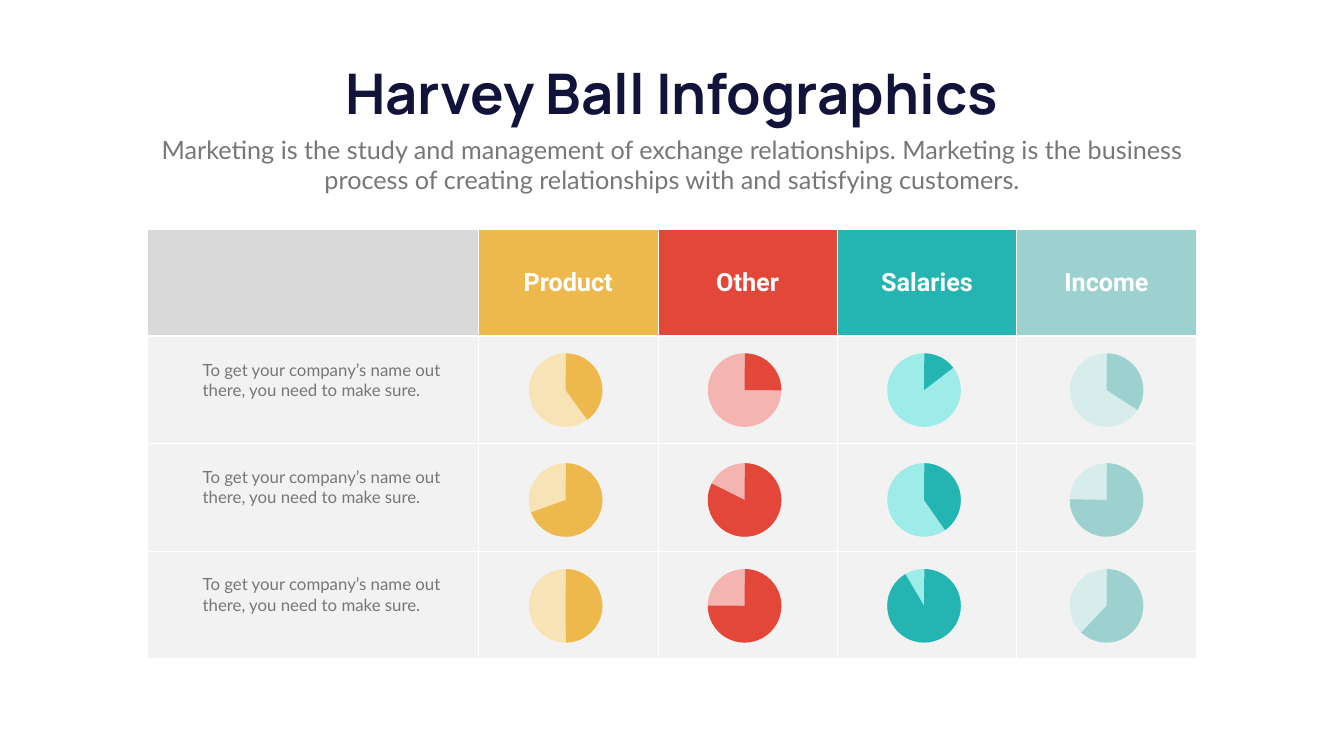
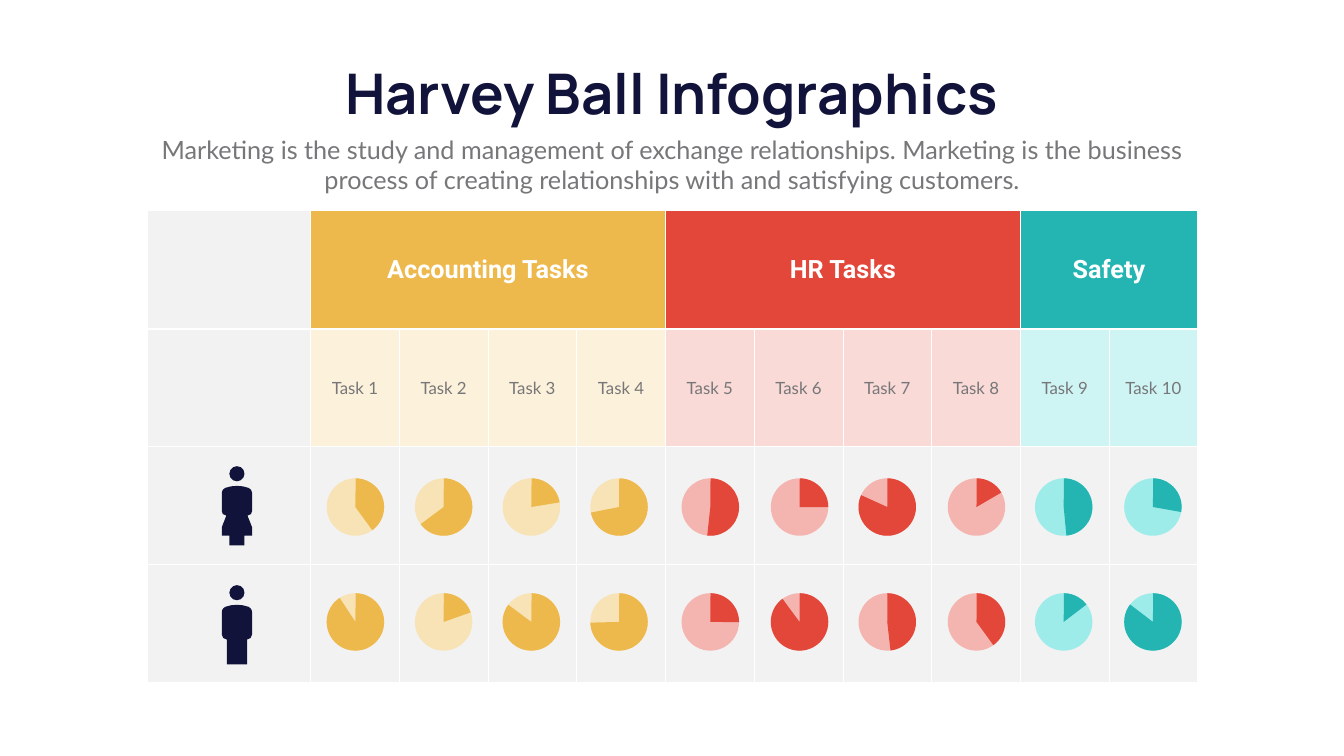
from lxml.etree import SubElement
from pptx import Presentation
from pptx.dml.color import RGBColor
from pptx.enum.shapes import MSO_SHAPE
from pptx.enum.text import MSO_ANCHOR, MSO_AUTO_SIZE, PP_ALIGN
from pptx.oxml.ns import qn
from pptx.util import Inches, Pt

COLOURS = {
    "navy": "11133A", "text": "777678", "white": "FFFFFF",
    "cell": "F2F2F2", "corner": "D9D9D9",
    "gold": "EEB94C", "gold soft": "F8E3B7", "gold pale": "FCF1DB",
    "red": "E34739", "red soft": "F4B5B0", "red pale": "F9DAD7",
    "teal": "24B5B2", "teal soft": "9DECEA", "teal pale": "CEF5F4",
    "mint": "9CD1D0", "mint soft": "D7EDEC",
}
TITLE = "Harvey Ball Infographics"
SUBTITLE = (
    "Marketing is the study and management of exchange relationships. "
    "Marketing is the business process of creating relationships with "
    "and satisfying customers."
)
ROW_TEXT = "To get your company’s name out there, you need to make sure."
LEFT, WIDTH = 2.92, 20.82
PIE_START = 270.45

# Right half of each figure: distance from the centre line, depth below the shoulders
SHOULDER = [(0, 0), (0.12, 0.01), (0.23, 0.04), (0.27, 0.07), (0.29, 0.1), (0.3, 0.14)]
WOMAN = SHOULDER + [
    (0.3, 0.5), (0.28, 0.56), (0.21, 0.59), (0.3, 0.82),
    (0.3, 0.99), (0.15, 0.99), (0.15, 1.18),
]
MAN = SHOULDER + [(0.3, 0.59), (0.27, 0.66), (0.2, 0.69), (0.2, 1.18)]


def rgb(name):
    return RGBColor.from_string(COLOURS[name])


class Painter:
    """Holds the shared style and the slide being filled."""

    def __init__(self, deck):
        self.deck = deck
        self.page = None

    def start_page(self):
        self.page = self.deck.slides.add_slide(self.deck.slide_layouts[5])
        title = self.page.shapes.title
        title.left, title.top = Inches(6.14), Inches(1.12)
        title.width, title.height = Inches(14.37), Inches(1.45)
        self.heading(title, TITLE, 80, "Manrope", "navy", bold=True, wrap=False)
        subtitle = self.page.shapes.add_textbox(
            Inches(LEFT), Inches(2.61), Inches(WIDTH), Inches(1.31))
        self.heading(subtitle, SUBTITLE, 36, "Lato", "text")

    def heading(self, box, text, size, font, colour, bold=False, wrap=True):
        frame = box.text_frame
        frame.word_wrap = wrap
        frame.auto_size = MSO_AUTO_SIZE.SHAPE_TO_FIT_TEXT
        frame.vertical_anchor = MSO_ANCHOR.TOP
        self.add_text(frame, text, size, font, colour, bold)

    def add_text(self, frame, text, size, font, colour, bold=False):
        para = frame.paragraphs[0]
        para.alignment = PP_ALIGN.CENTER
        span = para.add_run()
        span.text = text
        span.font.size = Pt(size)
        span.font.name = font
        span.font.bold = bold
        span.font.color.rgb = rgb(colour)
        return para

    def table(self, top, column_widths, row_height, row_count):
        """Adds a plain grid with white rules and a heavier rule below its header."""
        frame = self.page.shapes.add_table(
            row_count, len(column_widths), Inches(LEFT), Inches(top),
            Inches(WIDTH), Inches(row_height * row_count))
        grid = frame.table
        grid.first_row = grid.horz_banding = False
        for column, width in zip(grid.columns, column_widths):
            column.width = Inches(width)
        for number, row in enumerate(grid.rows):
            row.height = Inches(row_height)
            for cell in row.cells:
                self.borders(cell, bottom=1 if number else 3)
                self.fill_cell(cell, "cell")
        return grid

    def borders(self, cell, bottom):
        properties = cell._tc.get_or_add_tcPr()
        for side, weight in (("L", 1), ("R", 1), ("T", 1), ("B", bottom)):
            line = SubElement(properties, qn(f"a:ln{side}"), w=str(Pt(weight)))
            fill = SubElement(line, qn("a:solidFill"))
            SubElement(fill, qn("a:srgbClr"), val=COLOURS["white"])

    def fill_cell(self, cell, colour):
        cell.fill.solid()
        cell.fill.fore_color.rgb = rgb(colour)
        cell.vertical_anchor = MSO_ANCHOR.MIDDLE

    def header_cell(self, cell, text, colour):
        self.fill_cell(cell, colour)
        self.add_text(cell.text_frame, text, 36, "Roboto", "white", bold=True)

    def body_cell(self, cell, text, colour="cell"):
        self.fill_cell(cell, colour)
        return self.add_text(cell.text_frame, text, 24, "Lato", "text")

    def paint(self, shape, colour):
        shape.shadow.inherit = False
        shape.fill.solid()
        shape.fill.fore_color.rgb = rgb(colour)
        shape.line.fill.background()

    def shape(self, kind, left, top, size, colour):
        shape = self.page.shapes.add_shape(
            kind, Inches(left), Inches(top), Inches(size), Inches(size))
        self.paint(shape, colour)
        return shape

    def ball(self, left, top, size, colour, percent):
        """Adds a soft disc with a full-colour wedge that runs clockwise from the top."""
        self.shape(MSO_SHAPE.OVAL, left, top, size, f"{colour} soft")
        wedge = self.shape(MSO_SHAPE.PIE, left, top, size, colour)
        end = (270 + 3.6 * percent) % 360
        for index, degrees in enumerate((PIE_START, end)):
            wedge.adjustments[index] = degrees * 0.6

    def balls(self, lefts, tops, size, colours, rows):
        for top, percents in zip(tops, rows):
            for left, colour, percent in zip(lefts, colours, percents):
                self.ball(left, top, size, colour, percent)

    def person(self, centre, top, half_outline):
        self.shape(MSO_SHAPE.OVAL, centre - 0.15, top, 0.3, "navy")
        shoulders = top + 0.39
        mirrored = [(-across, down) for across, down in reversed(half_outline[1:])]
        points = [(Inches(centre + across), Inches(shoulders + down))
                  for across, down in half_outline + mirrored]
        builder = self.page.shapes.build_freeform(*points[0])
        builder.add_line_segments(points[1:], close=True)
        self.paint(builder.convert_to_shape(), "navy")


def budget_page(painter):
    painter.start_page()
    grid = painter.table(4.54, [6.57] + [3.56] * 4, 2.13, 4)
    painter.fill_cell(grid.cell(0, 0), "corner")
    colours = ["gold", "red", "teal", "mint"]
    names = ["Product", "Other", "Salaries", "Income"]
    for column, (name, colour) in enumerate(zip(names, colours), start=1):
        painter.header_cell(grid.cell(0, column), name, colour)
    for row in range(1, 4):
        cell = grid.cell(row, 0)
        para = painter.body_cell(cell, ROW_TEXT)
        para.alignment = PP_ALIGN.LEFT
        para.level = 1
        properties = para._p.get_or_add_pPr()
        properties.set("marL", str(Inches(1)))
        properties.set("indent", "0")
        cell.margin_bottom = Inches(0.45)
    painter.balls(
        [10.49, 14.04, 17.6, 21.22], [7.01, 9.19, 11.29], 1.46, colours,
        [[40, 25.1, 14.6, 34.1],
         [69.5, 82.4, 40.3, 75.3],
         [49.9, 75.1, 91.5, 62.1]])


def tasks_page(painter):
    painter.start_page()
    grid = painter.table(4.18, [3.24] + [1.76] * 10, 2.34, 4)
    groups = [("Accounting Tasks", "gold", 4), ("HR Tasks", "red", 4), ("Safety", "teal", 2)]
    colours = []
    for name, colour, count in groups:
        first = len(colours) + 1
        colours += [colour] * count
        header = grid.cell(0, first)
        header.merge(grid.cell(0, len(colours)))
        painter.header_cell(header, name, colour)
    for task, colour in enumerate(colours, start=1):
        painter.body_cell(grid.cell(1, task), f"Task {task}", f"{colour} pale")
    painter.person(4.7, 9.25, WOMAN)
    painter.person(4.7, 11.61, MAN)
    painter.balls(
        [6.48, 8.23, 9.97, 11.71, 13.52, 15.29, 17.03, 18.8, 20.53, 22.3],
        [9.49, 11.77], 1.14, colours,
        [[40, 64.8, 22.4, 71.9, 51.7, 25.1, 81.8, 16.6, 48.5, 27.8],
         [90.8, 19.6, 85.2, 74.6, 25.1, 89.9, 48.2, 40, 14.6, 85.4]])


def main():
    deck = Presentation()
    deck.slide_width, deck.slide_height = Inches(26.66), Inches(15)
    painter = Painter(deck)
    budget_page(painter)
    tasks_page(painter)
    deck.save("out.pptx")


if __name__ == "__main__":
    main()
